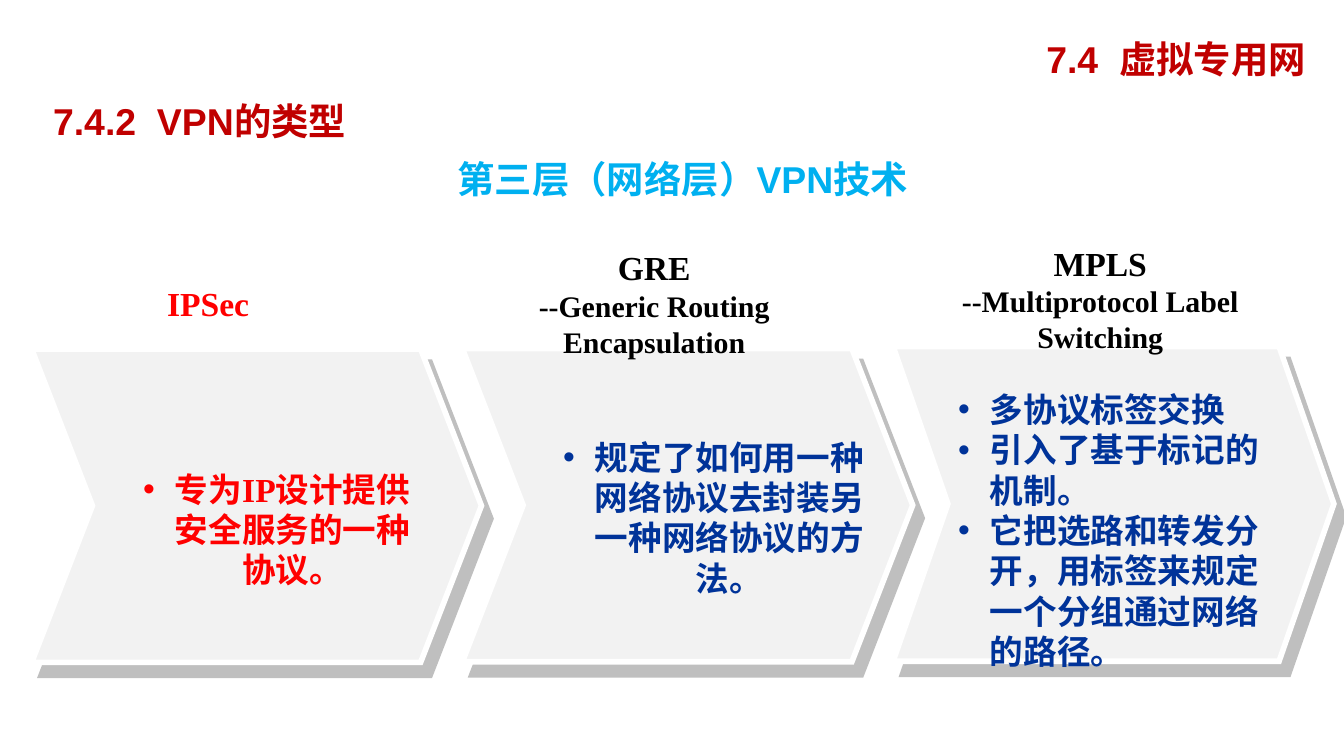
"""Build the slide on layer-3 VPN types."""
from lxml.etree import SubElement as Sub
from pptx import Presentation
from pptx.dml.color import RGBColor as Rgb
from pptx.enum.shapes import MSO_SHAPE as Kind
from pptx.enum.text import MSO_ANCHOR as Anchor, MSO_AUTO_SIZE as Auto, PP_ALIGN as Align
from pptx.oxml.ns import qn
from pptx.util import Cm, Pt

RED, BLUE, BLACK, WHITE = "FF0000", "003399", "000000", "FFFFFF"
MID, LEFT = Align.CENTER, Align.LEFT
TITLES = [
    ("7.4  虚拟专用网", "C00000", (19.45, 0.61, 5.56, 0.99)),
    ("7.4.2  VPN的类型", "C00000", (0.6, 1.78, 6.35, 0.99)),
    ("第三层（网络层）VPN技术", "00B0F0", (7.9, 2.78, 10.01, 1.19)),
]
STEPS = [
    dict(head=["IPSec"], tint=RED, spot=(0.9, 5.22, 6.07, 1.02), rise=4.32,
         body=["专为IP设计提供安全服务的一种协议。"], ink=RED,
         area=(2.18, 8.73, 6.1, 1.8), align=MID,
         top=6.6, size=(8.5, 5.92), notch=0.194),
    dict(head=["GRE", "--Generic Routing Encapsulation"], tint=BLACK,
         spot=(9.33, 4.55, 6.07, 2.39), rise=4.34,
         body=["规定了如何用一种网络协议去封装另一种网络协议的方法。"], ink=BLUE,
         area=(10.31, 8.13, 6.35, 2.57), align=MID,
         top=6.59, size=(8.51, 5.92), notch=0.194),
    dict(head=["MPLS", "--Multiprotocol Label Switching"], tint=BLACK,
         spot=(17.76, 4.46, 6.07, 2.39), rise=4.27,
         body=["多协议标签交换", "引入了基于标记的机制。",
               "它把选路和转发分开，用标签来规定一个分组通过网络的路径。"], ink=BLUE,
         area=(17.86, 7.23, 6.76, 4.88), align=LEFT,
         top=6.55, size=(8.33, 5.95), notch=0.174),
]
START, PITCH, INDENT = 0.6, 8.14, 0.6
TAG_START, TAG_PITCH, TAG_SIZE = 0.81, 8.33, (6.73, 1.9)


def color(code):
    return Rgb.from_string(code)


def bullet(para):
    props = para._p.get_or_add_pPr()
    props.set("marL", str(Cm(INDENT)))
    props.set("indent", str(-Cm(INDENT)))
    Sub(props, qn("a:buFont"), typeface="Arial")
    Sub(props, qn("a:buChar"), char="•")


def write(slide, area, lines, sizes, face, ink, align=MID, dots=False):
    frame = slide.shapes.add_textbox(*map(Cm, area)).text_frame
    frame.text = "\n".join(lines)
    frame.word_wrap = True
    for para, size in zip(frame.paragraphs, sizes):
        if dots:
            bullet(para)
        para.alignment = align
        for run in para.runs:
            font = run.font
            font.name, font.size, font.bold = face, Pt(size), True
            font.color.rgb = color(ink)
    return frame


def shade(shape):
    effect = shape._element.spPr.find(qn("a:effectLst"))
    outer = Sub(effect, qn("a:outerShdw"), dist=str(Pt(8.6)),
                dir=str(54 * 60000), algn="ctr", rotWithShape="0")
    tone = Sub(outer, qn("a:srgbClr"), val="808080")
    Sub(tone, qn("a:alpha"), val="50000")


def block(slide, kind, left, top, size, notch, fill):
    shape = slide.shapes.add_shape(kind, *map(Cm, (left, top, *size)))
    shape.adjustments[0] = notch
    shape.fill.solid()
    shape.fill.fore_color.rgb = color(fill)
    shape.line.fill.background()
    shape.shadow.inherit = False
    return shape


def arrow(slide, left, top, size, notch):
    shape = block(slide, Kind.CHEVRON, left, top, size, notch, "F2F2F2")
    shape.line.color.rgb = color(WHITE)
    shape.line.width = Pt(3)
    Sub(shape._element.spPr.find(qn("a:ln")), qn("a:miter"), lim="800000")
    shade(shape)


def main():
    deck = Presentation()
    deck.slide_width, deck.slide_height = Cm(25.4), Cm(14.29)
    slide = deck.slides.add_slide(deck.slide_layouts[6])
    serif = "Times New Roman"
    for i, step in enumerate(STEPS):
        arrow(slide, START + i * PITCH, step["top"], step["size"], step["notch"])
        body = write(slide, step["area"], step["body"], [18] * len(step["body"]),
                     serif, step["ink"], step["align"], True)
        body.auto_size = Auto.SHAPE_TO_FIT_TEXT
    for i, step in enumerate(STEPS):
        block(slide, Kind.PENTAGON, TAG_START + i * TAG_PITCH, step["rise"],
              TAG_SIZE, 0.261, WHITE)
        head = write(slide, step["spot"], step["head"], [18, 16], serif, step["tint"])
        head.auto_size = Auto.SHAPE_TO_FIT_TEXT
    for text, ink, area in TITLES:
        frame = write(slide, area, [text], [20], "Arial", ink)
        frame.vertical_anchor = Anchor.MIDDLE
    deck.save("out.pptx")


if __name__ == "__main__":
    main()
